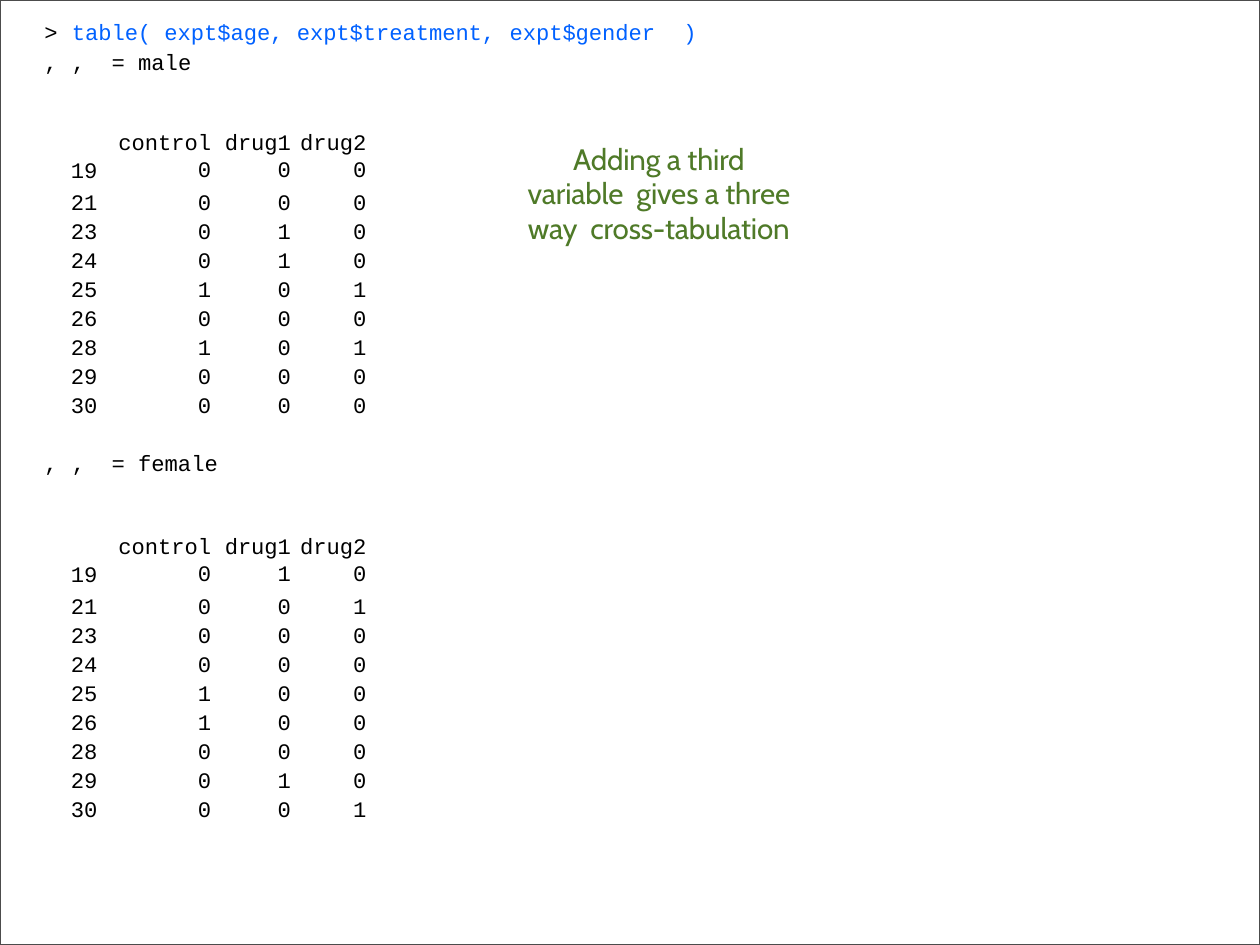
from lxml import etree
from pptx import Presentation, util as u
from pptx.dml.color import RGBColor
from pptx.enum import shapes, text
from pptx.oxml.ns import qn

COLORS = {"code": "0061FF", "ink": "000000", "note": "4F7A28", "frame": "4C4C4C"}
ALIGN = text.PP_ALIGN
OUTPUT_TABS = (0.79, 1.93, 2.69)
COLUMN_WIDTHS = (1.02, 3.05, 2.29, 2.16)
TREATMENTS = ("control", "drug1", "drug2")
AGES = (19, 21, 23, 24, 25, 26, 28, 29, 30)
MALE = ("000", "000", "010", "010", "101", "000", "101", "000", "000")
FEMALE = ("010", "001", "000", "000", "100", "100", "000", "010", "001")
MARGINS = ("margin_left", "margin_right", "margin_top", "margin_bottom")
FRAME_FORMAT = dict.fromkeys(MARGINS, 0) | {
    "word_wrap": True,
    "auto_size": text.MSO_AUTO_SIZE.NONE,
    "vertical_anchor": text.MSO_ANCHOR.TOP,
}
CODE_FONT = {"name": "Courier New", "size": u.Pt(18), "bold": False}
NOTE_FONT = {"name": "Cabin", "size": u.Pt(24), "bold": False}


def apply(target, values):
    for name, value in values.items():
        setattr(target, name, value)


class Deck:
    def __init__(self, width, height):
        self.prs = Presentation()
        apply(self.prs, {"slide_width": u.Cm(width), "slide_height": u.Cm(height)})
        self.slide = self.prs.slides.add_slide(self.prs.slide_layouts[5])

    def paragraph(self, p, runs, font=CODE_FONT, indent=0.03, tabs=(), **fmt):
        apply(p, {"alignment": ALIGN.LEFT} | fmt)
        for content, color, tracking in runs:
            r = p.add_run()
            r.text = content
            apply(r.font, font)
            r.font.color.rgb = RGBColor.from_string(COLORS[color])
            r._r.get_or_add_rPr().set("spc", str(tracking))
        pPr = p._p.get_or_add_pPr()
        pPr.set("marL", str(u.Cm(indent)))
        if tabs:
            stops = etree.SubElement(pPr, qn("a:tabLst"))
            for stop in tabs:
                etree.SubElement(stops, qn("a:tab"), pos=str(u.Cm(stop)), algn="l")

    def place(self, sp, box):
        apply(sp, dict(zip(("left", "top", "width", "height"), map(u.Cm, box))))
        apply(sp.text_frame, FRAME_FORMAT)
        return sp.text_frame

    def title(self, box):
        return self.place(self.slide.shapes.title, box)

    def text(self, box, runs, **fmt):
        sp = self.slide.shapes.add_textbox(0, 0, 0, 0)
        self.paragraph(self.place(sp, box).paragraphs[0], runs, **fmt)

    def crosstab(self, top, counts):
        heights = [1.72] + [0.83] * (len(AGES) - 2) + [0.91]
        table = self.slide.shapes.add_table(
            len(AGES), len(COLUMN_WIDTHS), u.Cm(1.98), u.Cm(top),
            u.Cm(sum(COLUMN_WIDTHS)), u.Cm(sum(heights))).table
        apply(table, {"first_row": False, "horz_banding": False})
        for column, width in zip(table.columns, COLUMN_WIDTHS):
            column.width = u.Cm(width)
        for i, (age, row_counts) in enumerate(zip(AGES, counts)):
            table.rows[i].height = u.Cm(heights[i])
            spacing = {"line_spacing": u.Pt(20.75)} if i else {"space_before": u.Pt(1.4)}
            for j, value in enumerate((str(age), *row_counts)):
                cell = table.cell(i, j)
                cell.fill.background()
                apply(cell, dict.fromkeys(MARGINS, 0))
                p = cell.text_frame.paragraphs[0]
                if j == 0:
                    cell.margin_top = 0 if i else u.Cm(0.8)
                    self.paragraph(p, [(value, "ink", -5)], indent=0.05, **spacing)
                    continue
                fmt = {"alignment": ALIGN.RIGHT, "indent": 0} | spacing
                if i == 0:
                    self.paragraph(p, [(TREATMENTS[j - 1], "ink", -5)], **fmt)
                    p = cell.text_frame.add_paragraph()
                self.paragraph(p, [(value, "ink", 0)], **fmt)

    def frame(self):
        sp = self.slide.shapes.add_shape(
            shapes.MSO_SHAPE.RECTANGLE, 0, 0, self.prs.slide_width, self.prs.slide_height)
        sp.shadow.inherit = False
        sp.fill.background()
        sp.line.color.rgb = RGBColor.from_string(COLORS["frame"])
        sp.line.width = u.Pt(1)


def main():
    deck = Deck(36.12, 27.1)
    tf = deck.title((1.24, 0.53, 6.93, 1.65))
    deck.paragraph(tf.paragraphs[0], [(">\t", "ink", 0), ("table( expt$age,", "code", -5)],
                   tabs=OUTPUT_TABS[:1])
    deck.paragraph(tf.add_paragraph(), [(",\t,\t=\tmale", "ink", 0)],
                   tabs=OUTPUT_TABS, space_before=u.Pt(2.4))
    deck.text((8.48, 0.53, 5.79, 0.79), [("expt$treatment,", "code", -5)])
    deck.text((14.58, 0.53, 5.41, 0.79), [("expt$gender\t)", "code", -5)], tabs=(4.98,))
    deck.crosstab(3.78, MALE)
    deck.text((1.24, 12.9, 5.03, 0.79), [(",\t,\t=\tfemale", "ink", 0)], tabs=OUTPUT_TABS)
    deck.crosstab(15.37, FEMALE)
    deck.text((15.02, 4.06, 7.7, 2.97),
              [("Adding a third variable  gives a three way  cross-tabulation", "note", -10)],
              font=NOTE_FONT, alignment=ALIGN.CENTER, line_spacing=u.Pt(28))
    deck.frame()
    deck.prs.save("out.pptx")


if __name__ == "__main__":
    main()
